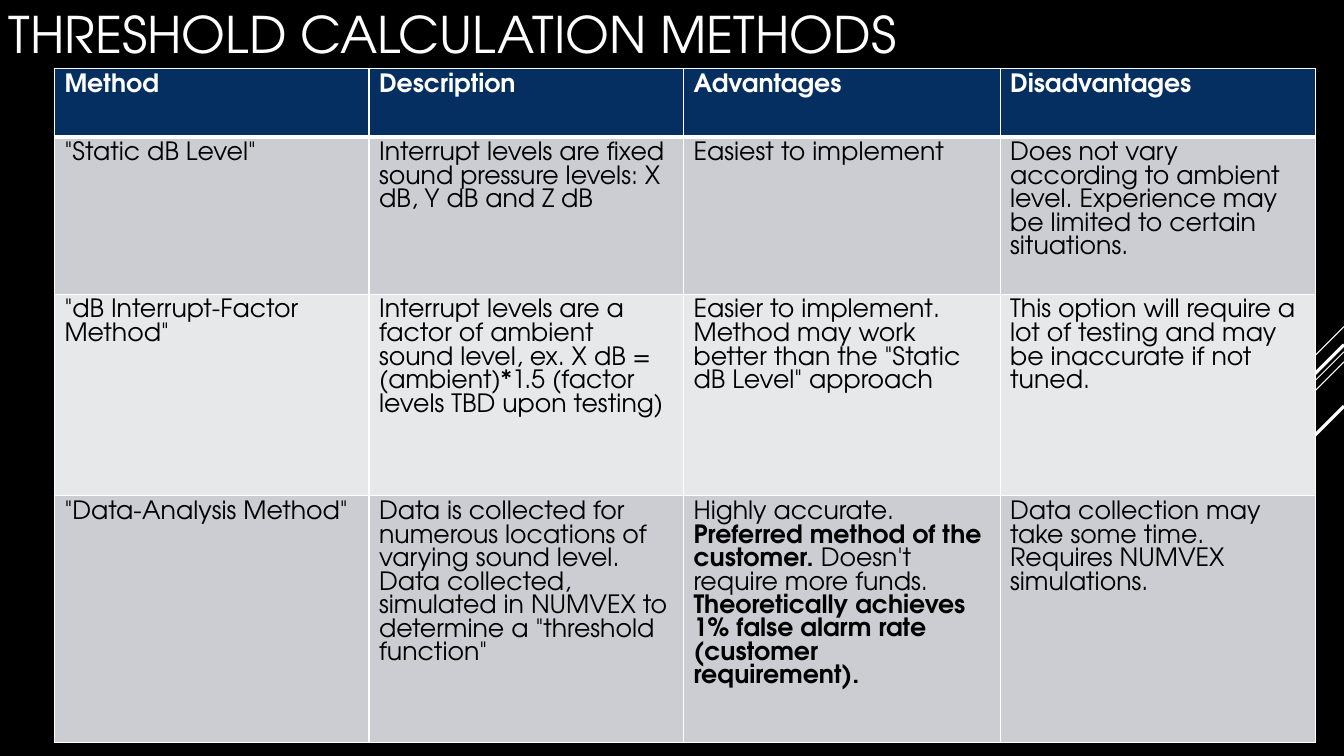
"""Build the threshold calculation methods slide."""
from dataclasses import dataclass

from lxml.etree import SubElement
from pptx import Presentation
from pptx.dml.color import RGBColor
from pptx.enum.shapes import MSO_CONNECTOR
from pptx.enum.text import MSO_ANCHOR
from pptx.oxml.ns import qn
from pptx.util import Inches, Pt


@dataclass(frozen=True)
class Theme:
    font: str = "TeX Gyre Adventor"
    background: str = "000000"
    light: str = "FFFFFF"
    dark: str = "000000"
    header: str = "052F61"
    bands: tuple[str, str] = ("CCCDD2", "E7E8EA")
    title_size: float = 36
    table_size: float = 18
    border: float = 1
    header_border: float = 3


@dataclass(frozen=True)
class Streak:
    top: float
    run: float
    weight: float


@dataclass(frozen=True)
class Span:
    text: str
    bold: bool = False


@dataclass(frozen=True)
class Method:
    name: str
    description: str
    advantages: tuple[Span, ...]
    disadvantages: str

    def cells(self) -> list[tuple[Span, ...]]:
        return [(Span(self.name),), (Span(self.description),),
                self.advantages, (Span(self.disadvantages),)]


THEME = Theme()
SLIDE_WIDTH, SLIDE_HEIGHT = 13.33, 7.5
STREAKS = [
    Streak(3.24, 1, 0.75),
    Streak(3.49, 3.26, 0.75),
    Streak(3.59, 2.07, 0.75),
    Streak(3.42, 1.91, 2.25),
    Streak(4.03, 1.39, 2.25),
]
HEADINGS = ["Method", "Description", "Advantages", "Disadvantages"]
COLUMN_WIDTHS = [3.12, 3.12, 3.14, 3.13]
ROW_HEIGHTS = [0.68, 1.56, 2, 2.44]
METHODS = [
    Method(
        '"Static dB Level"',
        "Interrupt levels are fixed sound pressure levels: X dB, Y dB and Z dB",
        (Span("Easiest to implement"),),
        "Does not vary according to ambient level. "
        "Experience may be limited to certain situations.",
    ),
    Method(
        '"dB Interrupt-Factor Method"',
        "Interrupt levels are a factor of ambient sound level, "
        "ex. X dB = (ambient)*1.5 (factor levels TBD upon testing)",
        (Span("Easier to implement. Method may work better than "
              'the "Static dB Level" approach'),),
        "This option will require a lot of testing and may be inaccurate if not tuned.",
    ),
    Method(
        '"Data-Analysis Method"',
        "Data is collected for numerous locations of varying sound level. "
        'Data collected, simulated in NUMVEX to determine a "threshold function"',
        (Span("Highly accurate. "),
         Span("Preferred method of the customer.", True),
         Span(" Doesn't require more funds. "),
         Span("Theoretically achieves 1% false alarm rate (customer requirement).", True)),
        "Data collection may take some time. Requires NUMVEX simulations.",
    ),
]


def write_spans(paragraph, spans: tuple[Span, ...], size: float, color: str) -> None:
    """Add formatted runs to a paragraph."""
    for span in spans:
        run = paragraph.add_run()
        run.text = span.text
        run.font.name = THEME.font
        run.font.size = Pt(size)
        run.font.bold = span.bold
        run.font.color.rgb = RGBColor.from_string(color)


def draw_streak(page, streak: Streak) -> None:
    """Draw a diagonal line falling leftward from the right edge."""
    line = page.shapes.add_connector(
        MSO_CONNECTOR.STRAIGHT, Inches(SLIDE_WIDTH), Inches(streak.top),
        Inches(SLIDE_WIDTH - streak.run), Inches(streak.top + streak.run))
    line.line.color.rgb = RGBColor.from_string(THEME.light)
    line.line.width = Pt(streak.weight)
    SubElement(line.element.spPr, qn("a:effectLst"))


def draw_title(page, text: str) -> None:
    """Draw the slide title."""
    box = page.shapes.add_textbox(Inches(-0.01), Inches(-0.49), Inches(9.33), Inches(1.65))
    frame = box.text_frame
    frame.word_wrap = True
    frame.vertical_anchor = MSO_ANCHOR.MIDDLE
    write_spans(frame.paragraphs[0], (Span(text),), THEME.title_size, THEME.light)


def style_cell(cell, fill: str, top: float, bottom: float) -> None:
    """Set the margin, borders and fill of a table cell."""
    cell.margin_bottom = Inches(0)
    properties = cell._tc.get_or_add_tcPr()
    widths = {"lnL": THEME.border, "lnR": THEME.border, "lnT": top, "lnB": bottom}
    for side, width in widths.items():
        border = SubElement(properties, qn(f"a:{side}"), w=str(Pt(width)))
        solid = SubElement(border, qn("a:solidFill"))
        SubElement(solid, qn("a:srgbClr"), val=THEME.light)
    cell.fill.solid()
    cell.fill.fore_color.rgb = RGBColor.from_string(fill)


def draw_table(page) -> None:
    """Draw the comparison of methods."""
    rows = [[(Span(heading, True),) for heading in HEADINGS]]
    rows += [method.cells() for method in METHODS]
    table = page.shapes.add_table(
        len(rows), len(HEADINGS), Inches(0.54), Inches(0.68),
        Inches(sum(COLUMN_WIDTHS)), Inches(sum(ROW_HEIGHTS))).table
    for column, width in zip(table.columns, COLUMN_WIDTHS):
        column.width = Inches(width)
    for index, (row, height) in enumerate(zip(rows, ROW_HEIGHTS)):
        table.rows[index].height = Inches(height)
        is_header = index == 0
        fill = THEME.header if is_header else THEME.bands[(index - 1) % 2]
        color = THEME.light if is_header else THEME.dark
        top = THEME.header_border if index == 1 else THEME.border
        bottom = THEME.header_border if is_header else THEME.border
        for cell, spans in zip(table.rows[index].cells, row):
            style_cell(cell, fill, top, bottom)
            write_spans(cell.text_frame.paragraphs[0], spans, THEME.table_size, color)


def main() -> None:
    """Build and save the deck."""
    deck = Presentation()
    deck.slide_width, deck.slide_height = Inches(SLIDE_WIDTH), Inches(SLIDE_HEIGHT)
    page = deck.slides.add_slide(deck.slide_layouts[6])
    page.background.fill.solid()
    page.background.fill.fore_color.rgb = RGBColor.from_string(THEME.background)
    for streak in STREAKS:
        draw_streak(page, streak)
    draw_title(page, "THRESHOLD CALCULATION METHODS")
    draw_table(page)
    deck.save("out.pptx")


if __name__ == "__main__":
    main()
